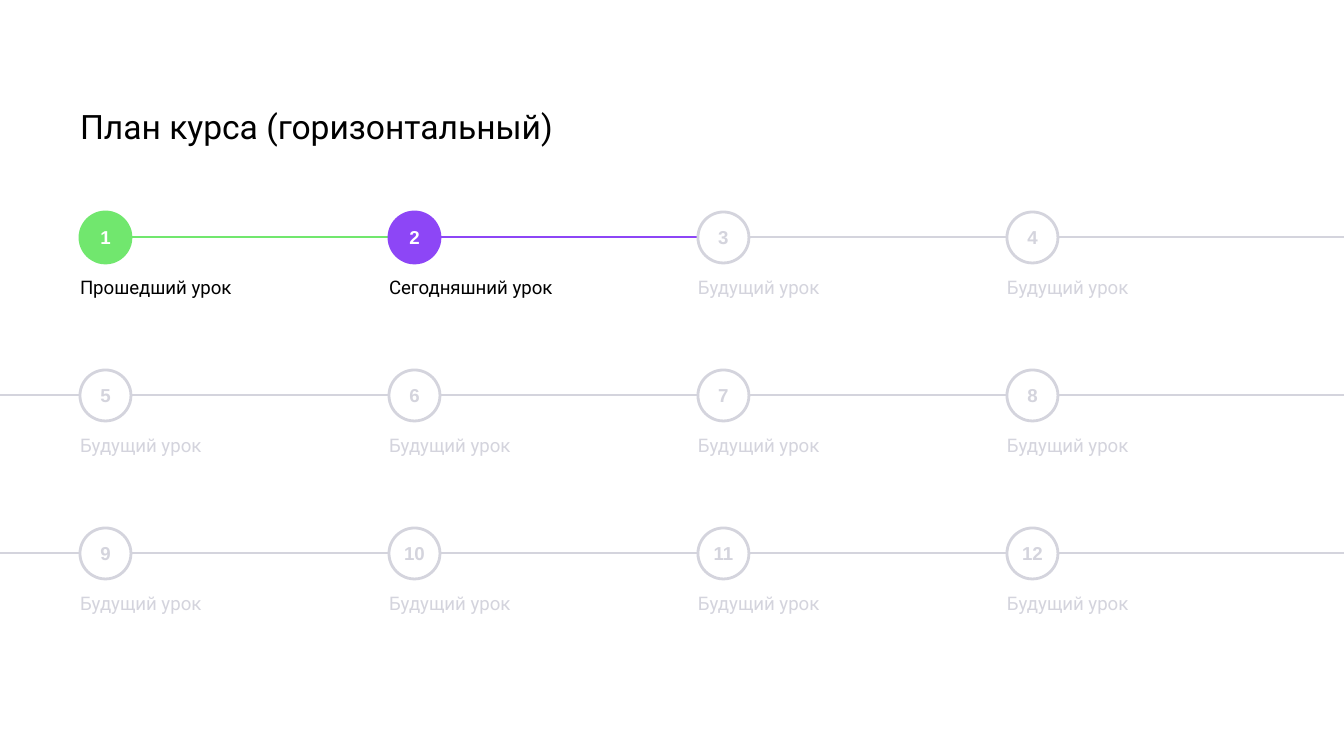
from dataclasses import dataclass

from lxml.etree import SubElement
from pptx import Presentation
from pptx.dml.color import RGBColor
from pptx.enum.shapes import MSO_CONNECTOR as Connector, MSO_SHAPE as Shape
from pptx.enum.text import MSO_ANCHOR as Anchor, PP_ALIGN as Align
from pptx.oxml.ns import qn
from pptx.util import Emu, Pt

PAGE_WIDTH, PAGE_HEIGHT = 1344, 756
EMU_PER_PX = 9144000 / PAGE_WIDTH
LEFT, TOP = 80, 212
COLUMN_STEP, ROW_STEP = 309, 158
COLUMNS, LESSONS = 4, 12
CIRCLE = 51
LINE_WIDTH = Pt(1.5)
GREEN, PURPLE, GREY, WHITE, BLACK = "71E76E", "8D46F6", "D4D4DD", "FFFFFF", "000000"


@dataclass
class Lesson:
    number: int
    title: str = "Будущий урок"
    line: str = GREY
    fill: str = WHITE
    number_color: str = GREY
    title_color: str = GREY

    @property
    def column(self) -> int:
        return (self.number - 1) % COLUMNS

    @property
    def left(self) -> int:
        return LEFT + self.column * COLUMN_STEP

    @property
    def top(self) -> int:
        return TOP + (self.number - 1) // COLUMNS * ROW_STEP


def px(length: int) -> Emu:
    return Emu(round(length * EMU_PER_PX))


def color(value: str) -> RGBColor:
    return RGBColor.from_string(value)


def write(shape, text: str, *, size: int, font: str, fill: str, bold: bool = False,
          align=Align.LEFT, anchor=Anchor.TOP, insets=(0, 0, 0, 0), wrap: bool = True) -> None:
    frame = shape.text_frame
    frame.word_wrap = wrap
    frame.vertical_anchor = anchor
    frame.margin_left, frame.margin_top, frame.margin_right, frame.margin_bottom = map(px, insets)
    para = frame.paragraphs[0]
    para.alignment = align
    span = para.add_run()
    span.text = text
    span.font.size = Pt(size)
    span.font.name = font
    span.font.bold = bold
    span.font.color.rgb = color(fill)


def add_text(page, left: int, top: int, width: int, height: int, text: str, **style) -> None:
    box = page.shapes.add_textbox(px(left), px(top), px(width), px(height))
    write(box, text, font="Roboto", **style)


def add_line(page, start: int, end: int, y: int, line: str) -> None:
    connector = page.shapes.add_connector(Connector.STRAIGHT, px(start), px(y), px(end), px(y))
    connector.line.color.rgb = color(line)
    connector.line.width = LINE_WIDTH
    SubElement(connector.element.spPr, qn("a:effectLst"))


def add_path_lines(page, lesson: Lesson) -> None:
    middle = lesson.top + CIRCLE // 2
    last = lesson.column == COLUMNS - 1
    end = PAGE_WIDTH if last else lesson.left + COLUMN_STEP
    add_line(page, lesson.left + CIRCLE, end, middle, lesson.line)
    # Later rows continue from the left edge of the page
    if lesson.column == 0 and lesson.number > 1:
        add_line(page, 0, lesson.left, middle, lesson.line)


def add_lesson(page, lesson: Lesson) -> None:
    circle = page.shapes.add_shape(Shape.OVAL, px(lesson.left), px(lesson.top), px(CIRCLE), px(CIRCLE))
    circle.shadow.inherit = False
    circle.fill.solid()
    circle.fill.fore_color.rgb = color(lesson.fill)
    circle.line.color.rgb = color(lesson.line)
    circle.line.width = LINE_WIDTH
    write(circle, str(lesson.number), size=10, font="Arial", fill=lesson.number_color,
          bold=True, align=Align.CENTER, anchor=Anchor.MIDDLE, wrap=False)
    add_text(page, lesson.left, lesson.top + 53, 257, 50, lesson.title,
             size=10, fill=lesson.title_color, insets=(0, 13, 13, 13))


def main() -> None:
    deck = Presentation()
    deck.slide_width, deck.slide_height = px(PAGE_WIDTH), px(PAGE_HEIGHT)
    page = deck.slides.add_slide(deck.slide_layouts[6])

    lessons = [
        Lesson(1, "Прошедший урок", GREEN, GREEN, WHITE, BLACK),
        Lesson(2, "Сегодняшний урок", PURPLE, PURPLE, WHITE, BLACK),
        *(Lesson(number) for number in range(3, LESSONS + 1)),
    ]

    # Lines lie behind the circles
    for lesson in lessons:
        add_path_lines(page, lesson)
    for lesson in lessons:
        add_lesson(page, lesson)

    # Heading
    add_text(page, LEFT, 106, 1185, 47, "План курса (горизонтальный)", size=18, fill=BLACK)
    deck.save("out.pptx")


if __name__ == "__main__":
    main()
